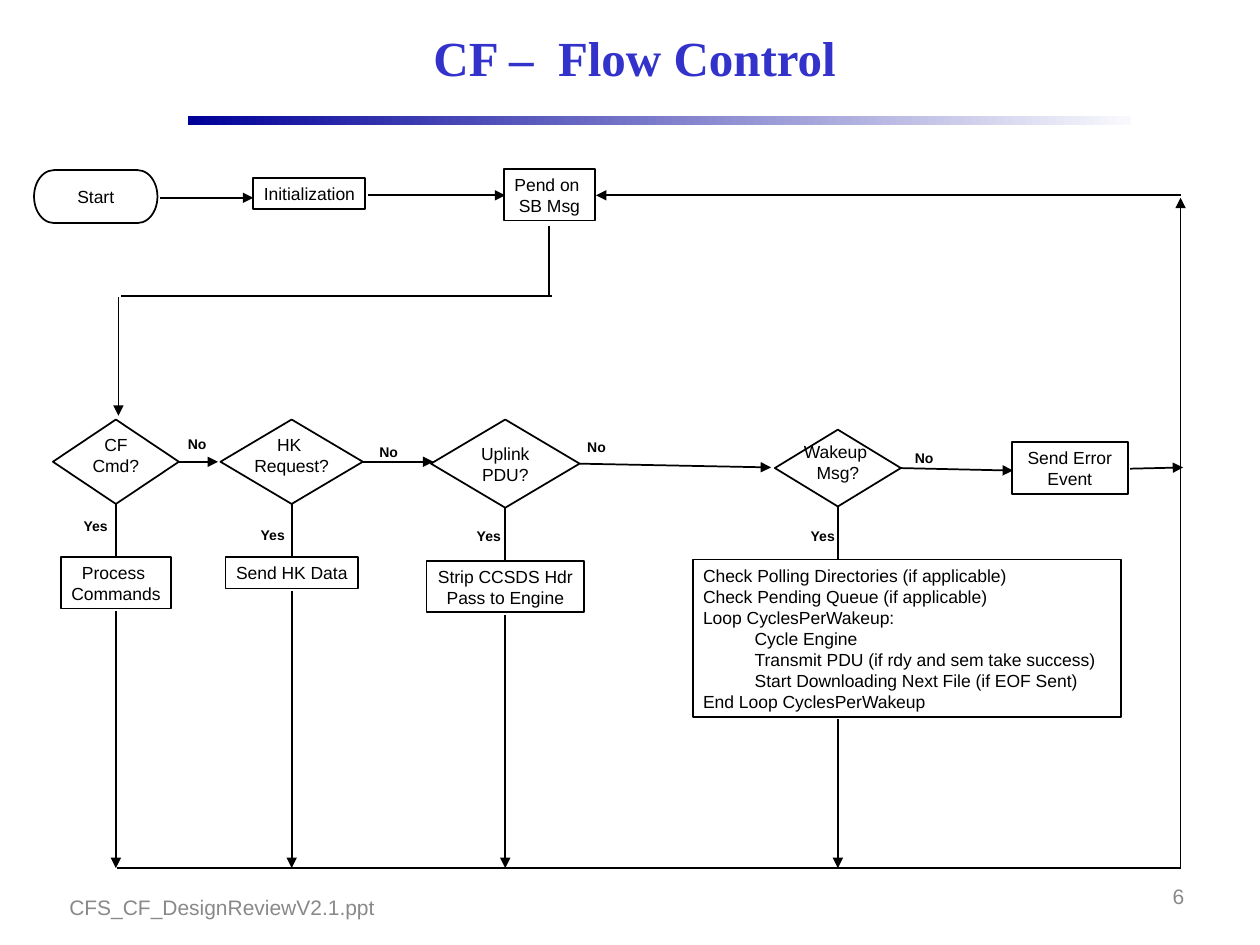
from dataclasses import dataclass

from lxml.etree import SubElement
from pptx import Presentation
from pptx.dml.color import RGBColor
from pptx.enum.shapes import MSO_CONNECTOR, MSO_SHAPE
from pptx.enum.text import MSO_ANCHOR, MSO_AUTO_SIZE, PP_ALIGN
from pptx.oxml.ns import qn
from pptx.util import Inches, Pt

COLORS = {
    "ink": "000000",
    "title": "3333CC",
    "rule_start": "000099",
    "rule_end": "F9F9FD",
    "paper": "FFFFFF",
    "footer": "898989",
}
SLIDE_WIDTH, SLIDE_HEIGHT = Inches(10), Inches(7.5)
COLUMN, ROW = SLIDE_WIDTH / 100, SLIDE_HEIGHT / 75
BUS_ROW = 68.9


@dataclass
class Region:
    left: float
    top: float
    width: float
    height: float

    def point(self, x, y):
        return round((self.left + x) * COLUMN), round((self.top + y) * ROW)

    def area(self, x, y, width, height):
        return *self.point(x, y), round(width * COLUMN), round(height * ROW)


@dataclass
class Branch:
    diamond: Region
    question: list
    lift: float
    yes_offset: tuple
    no_offset: tuple
    no_reach: tuple
    action: list
    action_size: tuple
    action_shift: float = 0
    action_align: PP_ALIGN = PP_ALIGN.CENTER


BRANCHES = [
    Branch(Region(4.2, 33.3, 10, 6.7), ["CF", "Cmd?"], 1, (-3.4, 0.7), (-0.1, 0.9),
           (3.1, 0), ["Process ", "Commands"], (8.7, 4.1)),
    Branch(Region(17.5, 33.3, 11.3, 6.7), ["HK ", "Request?"], 1, (-3.3, 1.4), (0.5, 1.5),
           (5.6, 0), ["Send HK Data"], (10.5, 2.5)),
    Branch(Region(34.2, 33.3, 11.8, 7), ["Uplink", "PDU?"], 0, (-3.1, 1.2), (-0.2, 1.1),
           (15.2, 0.3), ["Strip CCSDS Hdr", "Pass to Engine"], (12.5, 4.1)),
    Branch(Region(61.5, 34.1, 10, 6.1), ["Wakeup ", "Msg?"], 1, (-3, 1.3), (0.3, 1.2),
           (8.9, 0.2),
           ["Check Polling Directories (if applicable)",
            "Check Pending Queue (if applicable)",
            "Loop CyclesPerWakeup:",
            "\tCycle Engine",
            "\tTransmit PDU (if rdy and sem take success)",
            "\tStart Downloading Next File (if EOF Sent)",
            "End Loop CyclesPerWakeup"],
           (34, 12.5), 5.5, PP_ALIGN.LEFT),
]


def color(name):
    return RGBColor.from_string(COLORS[name])


def write_text(shape, lines, size=10, bold=False, align=PP_ALIGN.CENTER,
               ink="ink", font="Arial", lift=0, wrap=False):
    frame = shape.text_frame
    frame.auto_size = MSO_AUTO_SIZE.NONE
    frame.word_wrap = wrap
    frame.vertical_anchor = MSO_ANCHOR.MIDDLE
    frame.margin_left = frame.margin_right = Inches(0.08)
    frame.margin_top = Inches(0.04)
    frame.margin_bottom = Inches(0.04) + round(lift * ROW)
    for index, line in enumerate(lines):
        paragraph = frame.add_paragraph() if index else frame.paragraphs[0]
        if line.startswith("\t"):
            properties = paragraph._p.get_or_add_pPr()
            properties.set("marL", str(Inches(0.41)))
            properties.set("indent", "0")
        paragraph.text = line.lstrip("\t")
        paragraph.alignment = align
        paragraph.font.name = font
        paragraph.font.size = Pt(size)
        paragraph.font.bold = bold
        paragraph.font.color.rgb = color(ink)


def add_node(slide, area, lines, kind=MSO_SHAPE.RECTANGLE, fill=None, **style):
    shape = slide.shapes.add_shape(kind, *area)
    shape.shadow.inherit = False
    if fill:
        shape.fill.solid()
        shape.fill.fore_color.rgb = color(fill)
    else:
        shape.fill.background()
    shape.line.color.rgb = color("ink")
    shape.line.width = Pt(1)
    write_text(shape, lines, **style)


def add_label(slide, area, text, **style):
    write_text(slide.shapes.add_textbox(*area), [text], **style)


def add_line(slide, start, end, arrow=False):
    connector = slide.shapes.add_connector(MSO_CONNECTOR.STRAIGHT, *start, *end)
    connector.line.color.rgb = color("ink")
    connector.line.width = Pt(1)
    if arrow:
        SubElement(connector.line._get_or_add_ln(), qn("a:tailEnd"), type="triangle")
    SubElement(connector._element.spPr, qn("a:effectLst"))


def draw_header(slide, region):
    rule = slide.shapes.add_shape(
        MSO_SHAPE.RECTANGLE, *region.area(0, region.height - 0.7, region.width, 0.7))
    rule.shadow.inherit = False
    rule.line.fill.background()
    rule.fill.gradient()
    rule.fill.gradient_angle = 0
    for stop, name in zip(rule.fill.gradient_stops, ("rule_start", "rule_end")):
        stop.color.rgb = color(name)
    title = slide.shapes.title
    title.left, title.top, title.width, title.height = region.area(0.1, 0, 71.7, 7.5)
    write_text(title, ["CF –  Flow Control "], size=28, bold=True, ink="title",
               font="Times New Roman", wrap=True)


def draw_startup(slide, region):
    add_node(slide, region.area(0, 0.1, 9.8, 4.2), ["Start"],
             MSO_SHAPE.FLOWCHART_TERMINATOR)
    add_node(slide, region.area(17.4, 0.7, 8.9, 2.5), ["Initialization"])
    add_node(slide, region.area(37.3, 0, 7.2, 4.1), ["Pend on ", "SB Msg"])
    for start, end, arrow in [
        ((10, 2.3), (17.4, 2.3), True),
        ((26.5, 2.1), (37.4, 2.1), True),
        ((40.9, 4.5), (40.9, 10), False),
        ((41.1, 10.1), (6.9, 10.1), False),
        ((6.7, 10.2), (6.7, region.height), True),
    ]:
        add_line(slide, region.point(*start), region.point(*end), arrow)


def draw_branch(slide, region, branch):
    center, middle, bottom = region.width / 2, region.height / 2, region.height
    add_node(slide, region.area(0, 0, region.width, region.height), branch.question,
             MSO_SHAPE.FLOWCHART_DECISION, lift=branch.lift)

    yes_x, yes_y = branch.yes_offset
    add_label(slide, region.area(center + yes_x, bottom + yes_y, 3.6, 2.1), "Yes",
              size=8, bold=True)
    no_x, no_y = branch.no_offset
    add_label(slide, region.area(region.width + no_x, no_y, 3.1, 2.1), "No",
              size=8, bold=True)
    reach_x, reach_y = branch.no_reach
    add_line(slide, region.point(region.width, middle),
             region.point(region.width + reach_x, middle + reach_y), True)

    action_top = bottom + 4.2
    width, height = branch.action_size
    add_line(slide, region.point(center, bottom), region.point(center, action_top))
    add_node(slide, region.area(center + branch.action_shift - width / 2, action_top,
                                width, height),
             branch.action, align=branch.action_align)
    add_line(slide, region.point(center, action_top + height + 0.2),
             region.point(center, BUS_ROW - region.top), True)


def draw_return_path(slide, region):
    right, bottom = region.width, region.height
    add_node(slide, region.area(71, 19.6, 9.2, 4.1), ["Send Error", "Event"], fill="paper")
    add_line(slide, region.point(80.4, 21.7), region.point(right + 0.2, 21.6), True)
    add_line(slide, region.point(0, bottom), region.point(right, bottom))
    add_line(slide, region.point(right, bottom), region.point(right, 0.2), True)
    add_line(slide, region.point(right, 0), region.point(38, 0), True)


def draw_footer(slide, region):
    add_label(slide, region.area(0.2, 1, 63.3, 4), "CFS_CF_DesignReviewV2.1.ppt",
              size=12, align=PP_ALIGN.LEFT, ink="footer")
    add_label(slide, region.area(region.width - 23.5, 0.1, 23.3, 4), "6",
              size=12, align=PP_ALIGN.RIGHT, ink="footer", wrap=True)


def main():
    presentation = Presentation()
    presentation.slide_width, presentation.slide_height = SLIDE_WIDTH, SLIDE_HEIGHT
    slide = presentation.slides.add_slide(presentation.slide_layouts[5])
    draw_header(slide, Region(14.9, 0.8, 74.9, 9.1))
    draw_startup(slide, Region(2.7, 13.4, 44.5, 19.6))
    for branch in BRANCHES:
        draw_branch(slide, branch.diamond, branch)
    draw_return_path(slide, Region(9.3, 15.5, 84.4, BUS_ROW - 15.5))
    draw_footer(slide, Region(4.5, 69, 90.5, 6))
    presentation.save("out.pptx")


if __name__ == "__main__":
    main()
